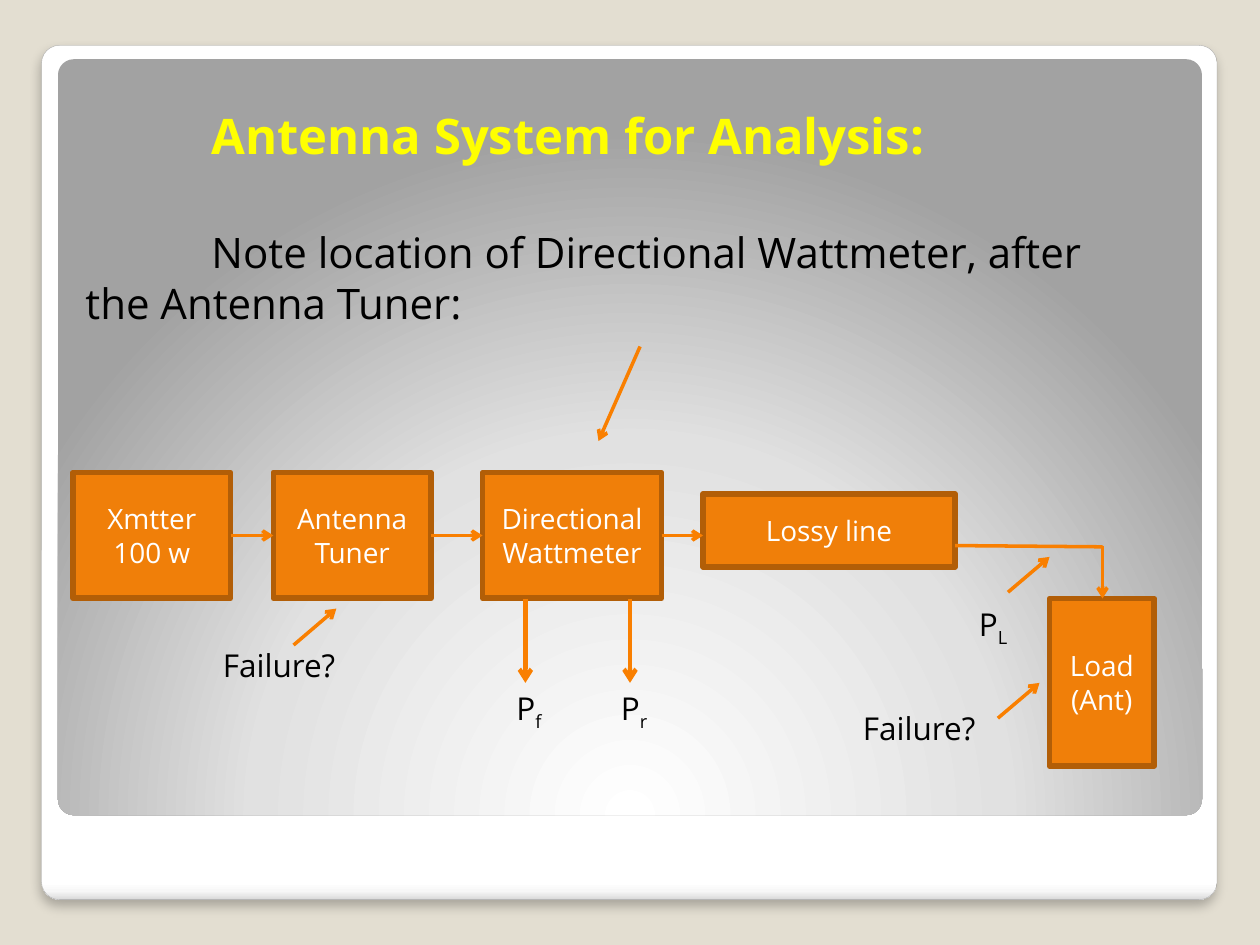
import pptx
import pptx.util
import pptx.dml.color
import pptx.enum.shapes
import pptx.enum.text
import pptx.oxml
import pptx.oxml.ns
from pptx.util import Inches

COLORS = {"background": "E3DED1", "frame_line": "A4A4A4", "box": "F07F09",
          "box_line": "B25E07", "arrow": "F97F00", "title": "FFFF00",
          "text": "000000", "box_text": "FFFFFF"}
FONT = "Open Sans"
NAMESPACE = pptx.oxml.ns.nsdecls("a")


def rgb(name):
    """Return the named colour."""
    return pptx.dml.color.RGBColor.from_string(COLORS[name])


def add_run(paragraph, text, size, color, bold=False):
    """Add a formatted run to a paragraph and return it."""
    run = paragraph.add_run()
    run.text = text
    values = {"name": FONT, "size": pptx.util.Pt(size), "bold": bold}
    for key, value in values.items():
        setattr(run.font, key, value)
    run.font.color.rgb = rgb(color)
    return run


presentation = pptx.Presentation()
presentation.slide_width = Inches(10)
presentation.slide_height = Inches(7.5)
slide = presentation.slides.add_slide(presentation.slide_layouts[6])
slide.background.fill.solid()
slide.background.fill.fore_color.rgb = rgb("background")

# Rounded frame and the panel inside it
panels = [
    ((0.33, 0.36, 9.33, 6.78),
     [(0, "FFFFFF"), (98, "FFFFFF"), (99, "F7F7F7"), (100, "DADADA")],
     '<a:lin ang="5400000" scaled="0"/>'),
    ((0.46, 0.47, 9.08, 6),
     [(0, "FFFFFF"), (55, "E1E1E1"), (100, "A2A2A2")],
     '<a:path path="circle"><a:fillToRect l="50000" t="175000" r="50000" b="-75000"/></a:path>'),
]
panel_shapes = []
for bounds, stops, direction in panels:
    shape = slide.shapes.add_shape(pptx.enum.shapes.MSO_SHAPE.ROUNDED_RECTANGLE,
                                   *map(Inches, bounds))
    shape.adjustments[0] = 0.021
    shape.shadow.inherit = False
    shape.line.fill.background()
    stop_xml = "".join(f'<a:gs pos="{position * 1000}"><a:srgbClr val="{color}"/></a:gs>'
                       for position, color in stops)
    gradient = pptx.oxml.parse_xml(
        f'<a:gradFill {NAMESPACE} rotWithShape="1"><a:gsLst>{stop_xml}</a:gsLst>{direction}</a:gradFill>')
    shape._element.spPr.find(pptx.oxml.ns.qn("a:prstGeom")).addnext(gradient)
    panel_shapes.append(shape)

frame = panel_shapes[0]
frame.line.color.rgb = rgb("frame_line")
frame.line.width = pptx.util.Pt(0.16)
effects = frame._element.spPr.find(pptx.oxml.ns.qn("a:effectLst"))
effects.append(pptx.oxml.parse_xml(
    f'<a:outerShdw {NAMESPACE} blurRad="76200" dist="50800" dir="5400000" algn="tl" rotWithShape="0">'
    '<a:srgbClr val="000000"><a:alpha val="25000"/></a:srgbClr></a:outerShdw>'))

# Heading and note
heading = slide.shapes.add_textbox(*map(Inches, (0.58, 0.7, 8.95, 1.95))).text_frame
heading.word_wrap = True
heading.vertical_anchor = pptx.enum.text.MSO_ANCHOR.BOTTOM
title = heading.paragraphs[0]
add_run(title, "Antenna System for Analysis:", 28, "title", True)
note = heading.add_paragraph()
note.space_before = pptx.util.Pt(36)
add_run(note, "Note location of Directional Wattmeter, after", 24, "text")
note.add_line_break()
add_run(note, "the Antenna Tuner:", 24, "text")
for paragraph in (title, note):
    paragraph._p.get_or_add_pPr().set("indent", str(Inches(1)))

# Stages of the antenna system
stages = [
    (["Xmtter", "100 w"], (0.58, 3.75, 1.25, 1)),
    (["Antenna", "Tuner"], (2.17, 3.75, 1.25, 1)),
    (["Directional", "Wattmeter"], (3.83, 3.75, 1.42, 1)),
    (["Lossy line"], (5.58, 3.92, 2, 0.58)),
    (["Load (Ant)"], (8.33, 4.75, 0.83, 1.33)),
]
for lines, bounds in stages:
    shape = slide.shapes.add_shape(pptx.enum.shapes.MSO_SHAPE.RECTANGLE, *map(Inches, bounds))
    shape.shadow.inherit = False
    shape.fill.solid()
    shape.fill.fore_color.rgb = rgb("box")
    shape.line.color.rgb = rgb("box_line")
    shape.line.width = pptx.util.Pt(3.35)
    frame_text = shape.text_frame
    frame_text.vertical_anchor = pptx.enum.text.MSO_ANCHOR.MIDDLE
    for index, line in enumerate(lines):
        paragraph = frame_text.add_paragraph() if index else frame_text.paragraphs[0]
        paragraph.alignment = pptx.enum.text.PP_ALIGN.CENTER
        add_run(paragraph, line, 16, "box_text")

# Labels with an optional subscript
labels = [("P", "f", 4, 5.42, 0.41), ("P", "r", 4.83, 5.42, 0.43), ("P", "L", 7.67, 4.75, 0.45),
          ("Failure?", "", 1.67, 5.08, 1.18), ("Failure?", "", 6.75, 5.58, 1.18)]
for text, subscript, left, top, width in labels:
    label = slide.shapes.add_textbox(*map(Inches, (left, top, width, 0.4))).text_frame
    label.word_wrap = False
    add_run(label.paragraphs[0], text, 18, "text")
    if subscript:
        run = add_run(label.paragraphs[0], subscript, 18, "text")
        run.font._element.set("baseline", "-25000")

# Signal path, wattmeter outputs and pointers: start, end, width, arrowhead
links = [
    ((1.83, 4.25), (2.17, 4.25), 2, True),
    ((3.42, 4.25), (3.83, 4.25), 2, True),
    ((5.25, 4.25), (5.58, 4.25), 2, True),
    ((8.75, 4.34), (7.58, 4.33), 2, False),
    ((8.75, 4.33), (8.75, 4.75), 2, True),
    ((4.17, 4.75), (4.17, 5.42), 2.5, True),
    ((5, 4.75), (5, 5.42), 2.5, True),
    ((5.08, 2.75), (4.75, 3.5), 2, True),
    ((8, 4.7), (8.33, 4.42), 2, True),
    ((2.33, 5.12), (2.67, 4.83), 2, True),
    ((7.92, 5.7), (8.25, 5.42), 2, True),
]
for start, end, width, has_arrow in links:
    connector = slide.shapes.add_connector(pptx.enum.shapes.MSO_CONNECTOR.STRAIGHT,
                                           *map(Inches, start + end))
    connector.line.color.rgb = rgb("arrow")
    connector.line.width = pptx.util.Pt(width)
    if has_arrow:
        connector.line._get_or_add_ln().append(
            pptx.oxml.parse_xml(f'<a:tailEnd {NAMESPACE} type="arrow"/>'))
    connector._element.spPr.append(pptx.oxml.parse_xml(f"<a:effectLst {NAMESPACE}/>"))

presentation.save("out.pptx")
